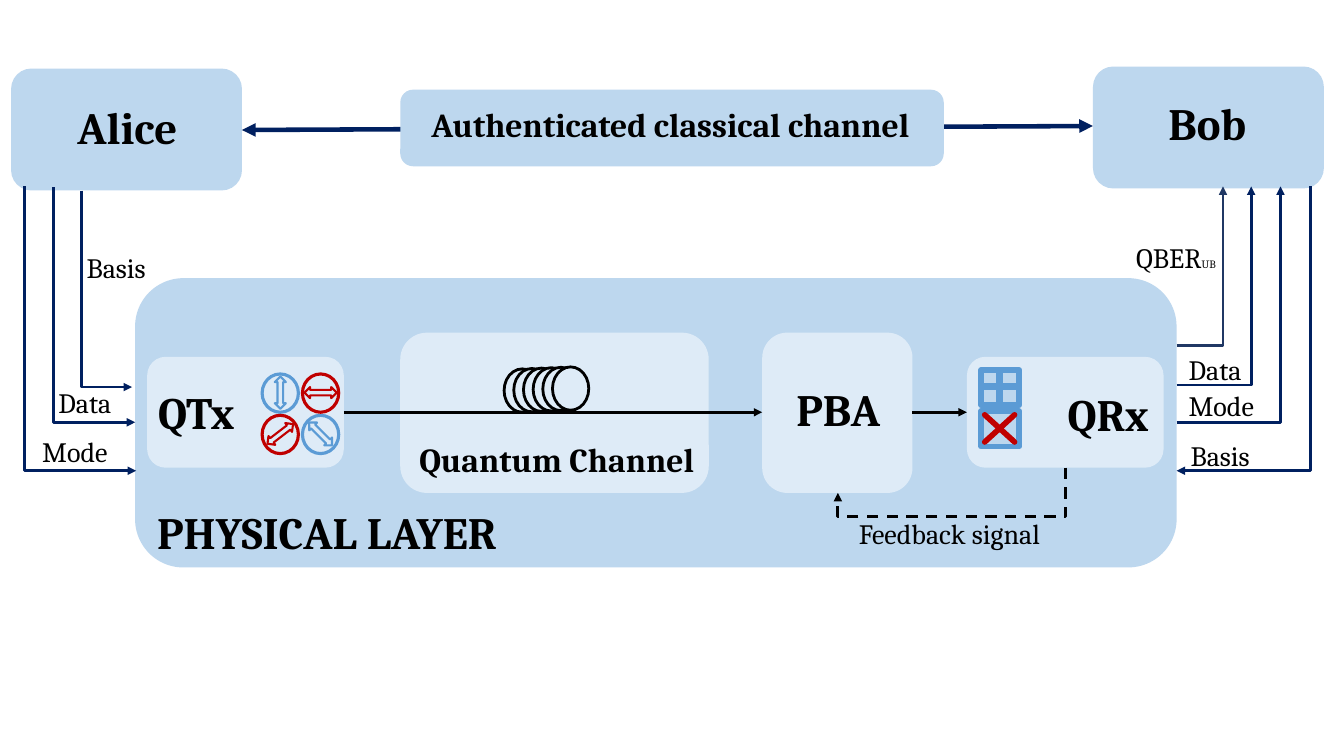
from pptx import Presentation
from pptx import util as u
from pptx.dml.color import RGBColor
from pptx.enum import dml, shapes, text
from pptx.oxml.ns import qn
from lxml import etree

COLS, ROWS = 13.33, 7.5
CELL = u.Inches(1)  # side of a grid square; all lengths count these
FONT = "Cambria"
COLORS = {"panel": "BDD7EE", "module": "DEEBF7", "signal": "002060", "qber": "203864",
          "ink": "000000", "blue": "5B9BD5", "red": "C00000"}
KIND = shapes.MSO_SHAPE

prs = Presentation()
prs.slide_width, prs.slide_height = int(COLS * CELL), int(ROWS * CELL)
slide = prs.slides.add_slide(prs.slide_layouts[6])


def grid(*lengths):
    return [round(length * CELL) for length in lengths]


def rgb(name):
    return RGBColor.from_string(COLORS[name])


def inside(box, left, top, *size):
    return (box[0] + left, box[1] + top, *size)


def draw(kind, box, fill=None, line=None, width=2, turn=0, adjust=None):
    shape = slide.shapes.add_shape(kind, *grid(*box))
    shape.shadow.inherit = False
    shape.rotation = turn
    if adjust is not None:
        shape.adjustments[0] = adjust
    if fill:
        shape.fill.solid()
        shape.fill.fore_color.rgb = rgb(fill)
    else:
        shape.fill.background()
    if line:
        shape.line.color.rgb = rgb(line)
        shape.line.width = u.Pt(width)
    else:
        shape.line.fill.background()


def panel(box, fill="panel"):
    draw(KIND.ROUNDED_RECTANGLE, box, fill)


def write(words, box, size=20, bold=False, subscript="", subscript_size=8):
    frame = slide.shapes.add_textbox(*grid(*box)).text_frame
    frame.word_wrap = True
    frame.auto_size = text.MSO_AUTO_SIZE.SHAPE_TO_FIT_TEXT
    for part, points in ((words, size), (subscript, subscript_size)):
        if part:
            run = frame.paragraphs[0].add_run()
            run.text = part
            run.font.name, run.font.size, run.font.bold = FONT, u.Pt(points), bold
            run.font.color.rgb = rgb("ink")


def arrow(start, end, color="ink", width=2, heads=("tailEnd",),
          kind=shapes.MSO_CONNECTOR.STRAIGHT, dashed=False):
    connector = slide.shapes.add_connector(kind, *grid(*start, *end))
    connector.line.color.rgb = rgb(color)
    connector.line.width = u.Pt(width)
    if dashed:
        connector.line.dash_style = dml.MSO_LINE.DASH
    properties = connector._element.spPr
    for head in heads:
        etree.SubElement(properties.find(qn("a:ln")), qn("a:" + head), type="triangle")
    etree.SubElement(properties, qn("a:effectLst"))
    return properties


def elbow(start, end, color="signal", vertical_first=False, bend=None, dashed=False):
    """One corner, or two when bend gives the share of the run at which it turns."""
    turn = None
    if vertical_first:
        (x1, y1), (x2, y2) = start, end
        middle_x, middle_y = (x1 + x2) / 2, (y1 + y2) / 2
        half_run, half_rise = (y2 - y1) / 2, abs(x2 - x1) / 2
        turn = 90
        if x2 > x1:
            turn, half_run = 270, -half_run
        start = middle_x - half_run, middle_y - half_rise
        end = middle_x + half_run, middle_y + half_rise
    properties = arrow(start, end, color, kind=shapes.MSO_CONNECTOR.ELBOW, dashed=dashed)
    if turn:
        properties.find(qn("a:xfrm")).set("rot", str(turn * 60000))
    geometry = properties.find(qn("a:prstGeom"))
    if bend is None:
        geometry.set("prst", "bentConnector2")
    else:
        guides = geometry.find(qn("a:avLst"))
        if guides is None:
            guides = etree.SubElement(geometry, qn("a:avLst"))
        etree.SubElement(guides, qn("a:gd"), name="adj1", fmla=f"val {round(bend * 100000)}")


def polarizations(box):
    """Four polarization states, each a ringed double arrow."""
    for left, top, color, turn in ((0, 0, "blue", 270), (0.4, 0.41, "blue", 225),
                                   (0.4, 0, "red", 0), (0, 0.41, "red", 322.4)):
        draw(KIND.OVAL, inside(box, left, top, 0.36, 0.38), line=color, width=2.25)
        draw(KIND.LEFT_RIGHT_ARROW, inside(box, left + 0.02, top + 0.13, 0.32, 0.11),
             line=color, width=1.5, turn=turn)


def basis_detectors(box):
    for top in (0.41, 0):
        draw(KIND.RECTANGLE, inside(box, 0, top, 0.38, 0.35), "panel", "blue", 4)
    draw(KIND.MATH_MULTIPLY, inside(box, -0.1, 0.32, 0.57, 0.52),
         line="red", width=4, adjust=0)
    draw(KIND.MATH_PLUS, inside(box, -0.03, -0.04, 0.43, 0.41),
         line="blue", width=4, adjust=0.02)


def quantum_channel(box):
    panel(box, "module")
    write("Quantum Channel", inside(box, 0.09, 1.01, 4.11, 0.5), 24, True)


def fiber_coil(box, loops=6):
    for loop in range(loops):
        draw(KIND.OVAL, inside(box, loop * 0.096, -loop * 0.004, 0.36, 0.43),
             "module", "ink")


def physical_layer(box):
    panel(box)
    transmitter = inside(box, 0.12, 0.78, 1.95, 1.1)
    receiver = inside(box, 8.25, 0.78, 1.95, 1.1)
    channel = inside(box, 2.63, 0.54, 3.06, 1.59)
    pba = inside(box, 6.22, 0.54, 1.49, 1.59)
    for module in (transmitter, receiver, pba):
        panel(module, "module")
    quantum_channel(channel)
    write("QTx", inside(transmitter, 0.01, 0.23, 1.11, 0.64), 32, True)
    write("QRx", inside(receiver, 0.9, 0.25, 1.1, 0.64), 32, True)
    write("PBA", inside(pba, 0.24, 0.44, 1.13, 0.64), 32, True)
    beam = box[1] + 1.33
    arrow((transmitter[0] + transmitter[2], beam), (pba[0], beam))
    arrow((pba[0] + pba[2], beam), (receiver[0], beam))
    elbow(inside(receiver, 0.98, 1.1), inside(pba, 0.75, 1.59), "ink",
          vertical_first=True, bend=1.95, dashed=True)
    fiber_coil(inside(channel, 1.03, 0.36))
    write("PHYSICAL LAYER", inside(box, 0.12, 2.2, 5.77, 0.64), 32, True)
    write("Feedback signal", inside(box, 7.08, 2.31, 2.19, 0.44))
    polarizations(inside(transmitter, 1.14, 0.17))
    basis_detectors(inside(receiver, 0.14, 0.13))


def party(name, box, label):
    panel(box)
    write(name, inside(box, *label, 1.28, 0.64), 32, True)


def classical_channel(box):
    panel(box)
    write("Authenticated classical channel", inside(box, 0.21, 0.09, 6.03, 0.5), 24, True)


def alice_signals(box, layer):
    for name, out, leave, drop, reach, label in (
            ("Basis", 0.7, 1.21, 1.08, -0.03, (0.65, 1.76)),
            ("Data", 0.42, 1.18, 1.43, 0, (0.37, 3.1)),
            ("Mode", 0.13, 1.17, 1.91, 0.01, (0.21, 3.58))):
        elbow(inside(box, out, leave), inside(layer, reach, drop), vertical_first=True)
        write(name, inside(box, *label, 0.91, 0.44))


def bob_signals(box, layer):
    edge, bottom = layer[0] + layer[2], box[1] + 1.19
    for name, subscript, color, rise, column, label in (
            ("QBER", "UB", "qber", 0.67, 1.29, (0.33, 1.68)),
            ("Data", "", "signal", 1.06, 1.57, (0.85, 2.79)),
            ("Mode", "", "signal", 1.43, 1.86, (0.85, 3.15))):
        elbow((edge, layer[1] + rise), (box[0] + column, bottom), color)
        write(name, inside(box, *label, 1.05, 0.44), subscript=subscript)
    elbow((box[0] + 2.16, bottom), (edge, layer[1] + 1.91), vertical_first=True)
    write("Basis", inside(box, 0.87, 3.64, 0.89, 0.44))


alice = (0.11, 0.68, 2.29, 1.21)
bob = (10.84, 0.66, 2.29, 1.21)
layer = (1.34, 2.76, 10.33, 2.87)

party("Alice", alice, (0.56, 0.26))
party("Bob", bob, (0.65, 0.24))
arrow(inside(alice, 2.29, 0.61), inside(bob, 0, 0.59), "signal", 3.25, ("headEnd", "tailEnd"))
physical_layer(layer)
alice_signals(alice, layer)
bob_signals(bob, layer)
classical_channel((3.97, 0.89, 5.39, 0.76))

prs.save("out.pptx")
